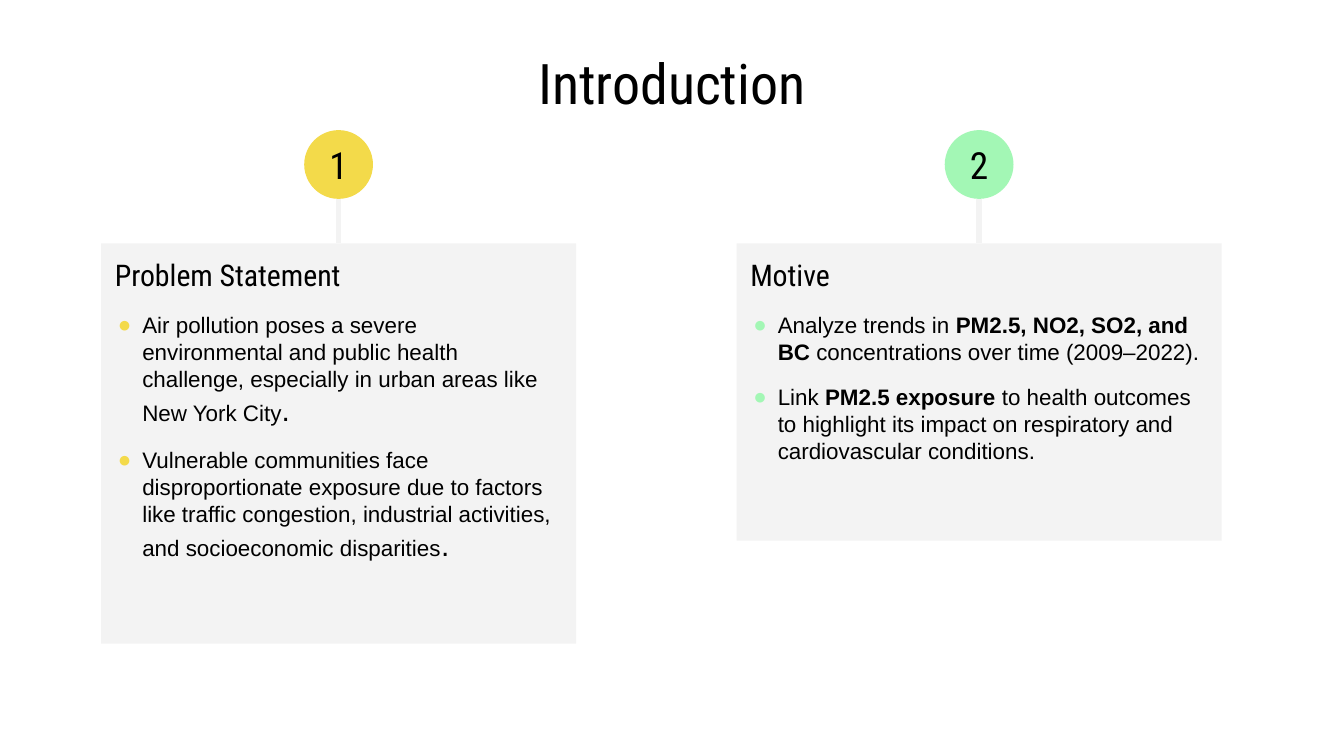
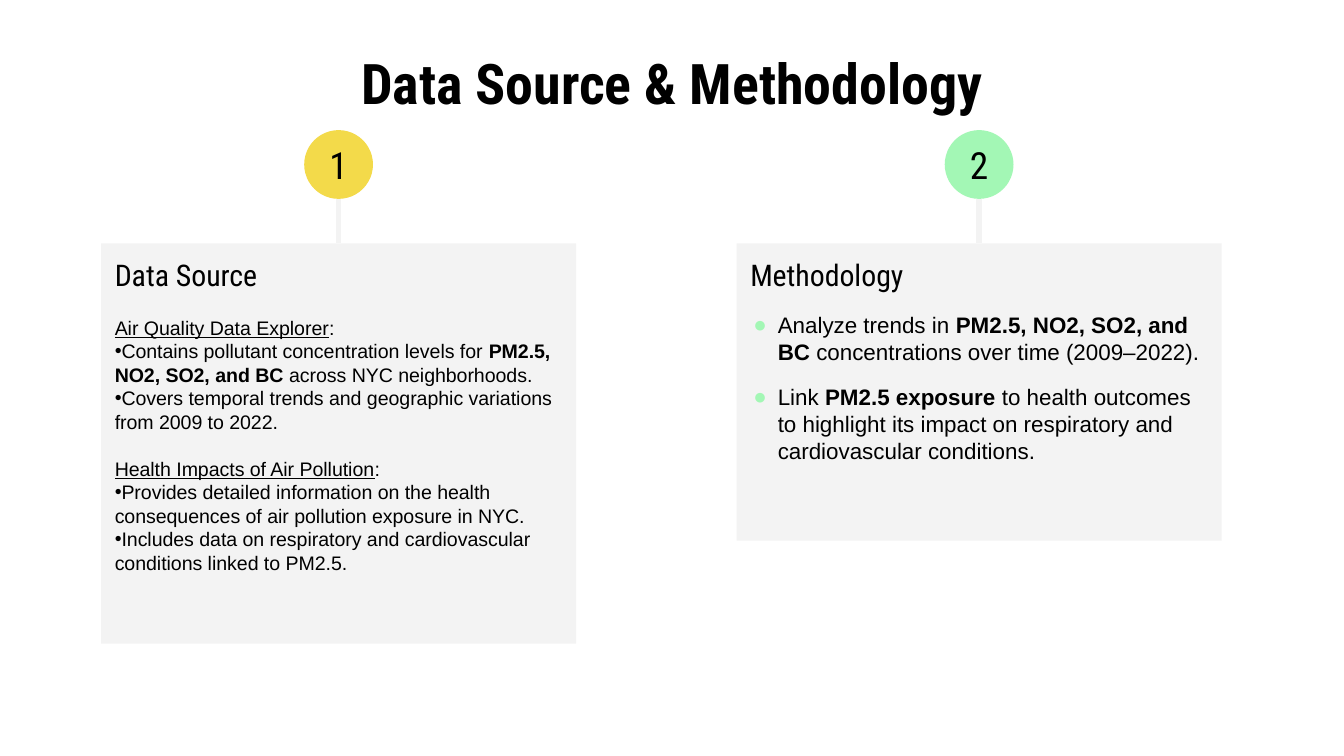
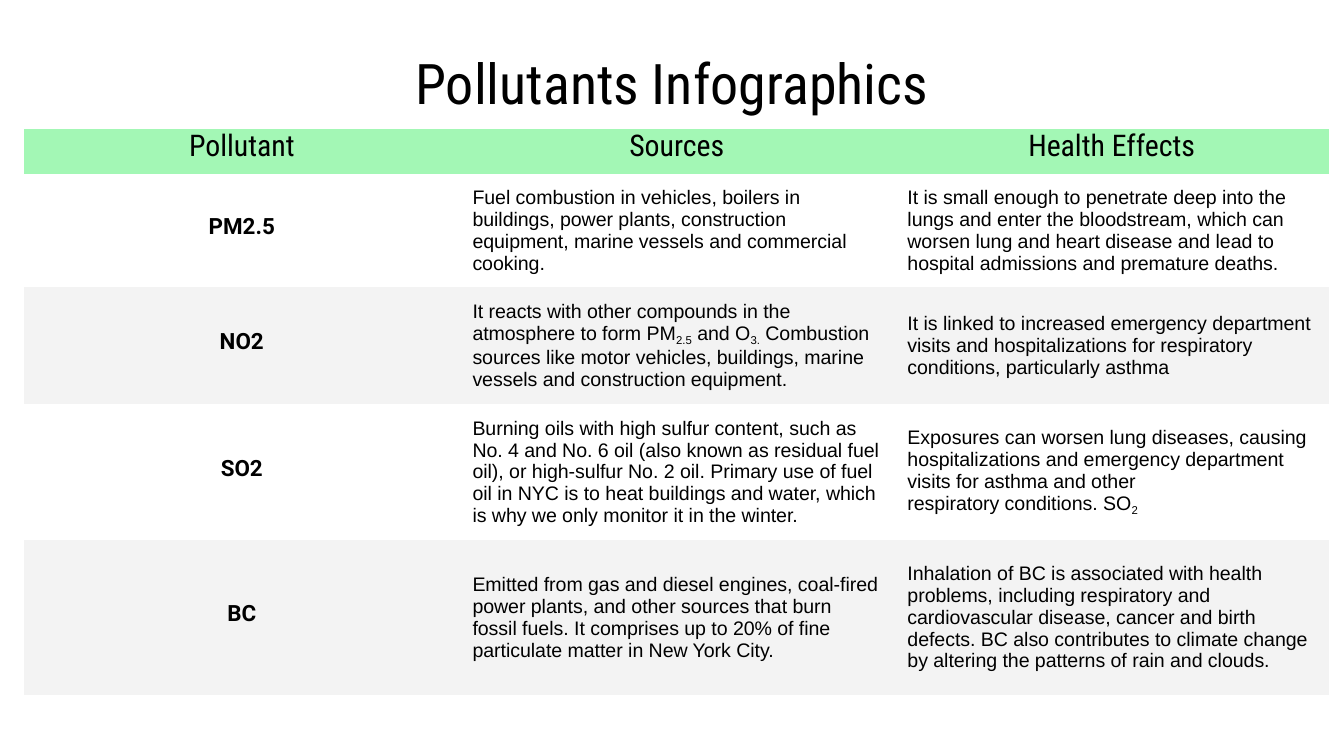
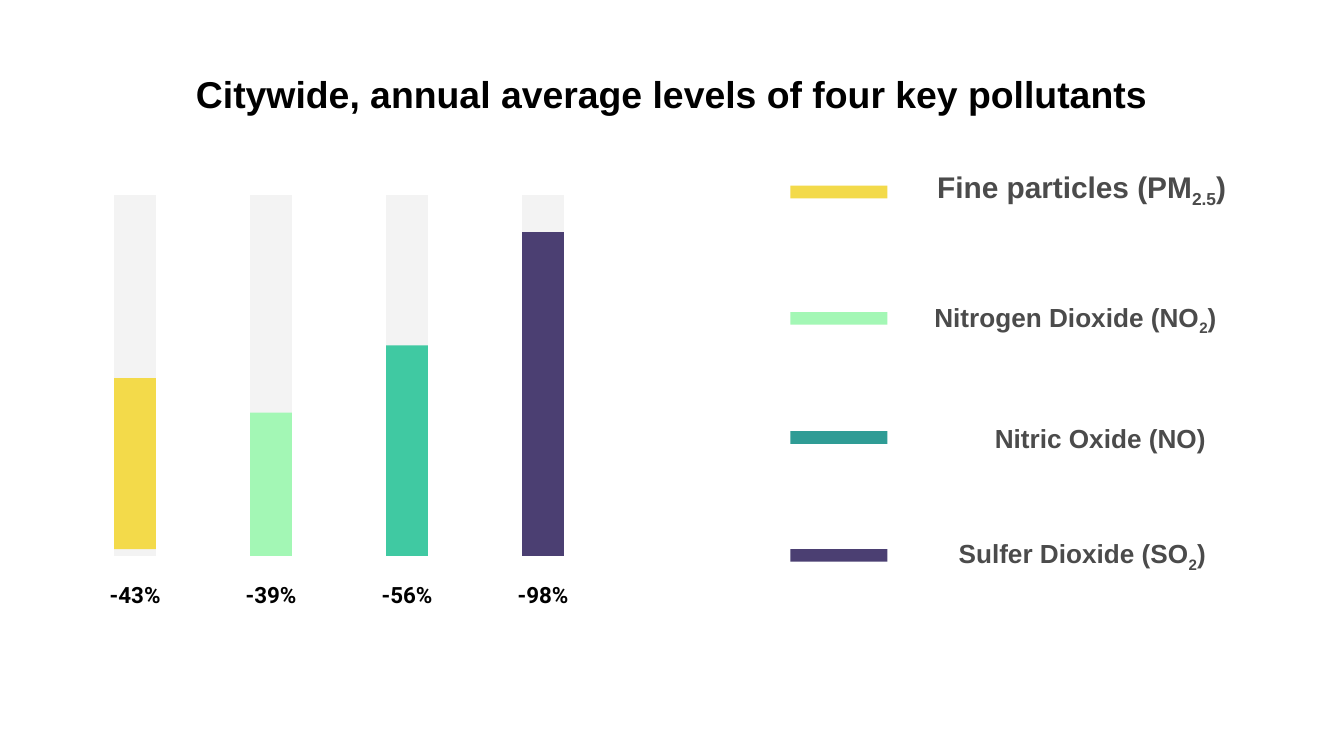
from dataclasses import dataclass

from lxml.etree import SubElement as Sub
from pptx import Presentation
from pptx.dml.color import RGBColor as Rgb
from pptx.enum.shapes import MSO_CONNECTOR as Link, MSO_SHAPE as Kind
from pptx.enum.text import MSO_ANCHOR as Anchor, PP_ALIGN as Align
from pptx.oxml.ns import qn
from pptx.util import Cm, Pt


@dataclass(frozen=True)
class Theme:
    black: str = "000000"
    grey: str = "F3F3F3"
    slate: str = "4B4B4B"
    gold: str = "F3DA4A"
    mint: str = "A3F7B5"
    green: str = "40C9A2"
    teal: str = "2F9C95"
    plum: str = "4B3F72"
    sans: str = "Arial"
    round: str = "Roboto"
    narrow: str = "Roboto Condensed"
    title: float = 30
    badge: float = 20
    head: float = 16
    key: float = 14
    body: float = 12
    small: float = 10.5


T = Theme()


@dataclass(frozen=True)
class Box:
    left: float
    top: float
    width: float
    height: float


@dataclass(frozen=True)
class Run:
    text: str
    bold: bool | None = None
    line: bool | None = None
    sub: bool = False
    size: float | None = None


@dataclass(frozen=True)
class Para:
    runs: tuple[str | Run, ...]
    size: float
    face: str = T.sans
    color: str = T.black
    bold: bool | None = None
    align: Align = Align.LEFT
    lead: float | None = None
    before: float = 0
    mark: str = ""
    tint: str = T.black
    left: float = 0
    hang: float = 0


@dataclass(frozen=True)
class Card:
    box: Box
    tint: str
    head: str
    paras: tuple[Para, ...]


@dataclass(frozen=True)
class Bar:
    label: str
    height: float
    tint: str
    lift: float = 0


@dataclass(frozen=True)
class Key:
    runs: tuple[str | Run, ...]
    tint: str
    top: float
    box: Box
    size: float = T.key


def put_mark(item, para: Para) -> None:
    props = item._p.get_or_add_pPr()
    props.set("marL", str(Cm(para.left)))
    props.set("indent", str(-Cm(para.hang)))
    Sub(Sub(props, qn("a:buClr")), qn("a:srgbClr")).set("val", para.tint)
    Sub(props, qn("a:buFont")).set("typeface", para.face)
    Sub(props, qn("a:buChar")).set("char", para.mark)


def write(frame, paras: tuple[Para, ...]) -> None:
    for spot, para in enumerate(paras):
        item = frame.add_paragraph() if spot else frame.paragraphs[0]
        if para.mark:
            put_mark(item, para)
        item.alignment = para.align
        item.space_before = Pt(para.before)
        if para.lead:
            item.line_spacing = para.lead
        font = item.font
        font.name, font.bold = para.face, para.bold
        font.color.rgb = Rgb.from_string(para.color)
        for part in para.runs:
            part = Run(part) if isinstance(part, str) else part
            run = item.add_run()
            run.text = part.text
            run.font.size = Pt(part.size or para.size)
            if part.bold:
                run.font.bold = True
            if part.line:
                run.font.underline = True
            if part.sub:
                run._r.get_or_add_rPr().set("baseline", "-25000")


def set_frame(frame, anchor: Anchor, inset: float = 0.25) -> None:
    frame.word_wrap = True
    frame.vertical_anchor = anchor
    frame.margin_left = frame.margin_right = Cm(inset)
    frame.margin_top = frame.margin_bottom = Cm(0.25)


def place(box: Box) -> tuple[int, ...]:
    return Cm(box.left), Cm(box.top), Cm(box.width), Cm(box.height)


def add_text(slide, box: Box, para: Para, anchor: Anchor = Anchor.MIDDLE) -> None:
    frame = slide.shapes.add_textbox(*place(box)).text_frame
    set_frame(frame, anchor)
    write(frame, (para,))


def add_block(slide, box: Box, tint: str, paras: tuple[Para, ...] = (),
              kind: Kind = Kind.RECTANGLE, anchor: Anchor = Anchor.TOP) -> None:
    shape = slide.shapes.add_shape(kind, *place(box))
    shape.shadow.inherit = False
    shape.fill.solid()
    shape.fill.fore_color.rgb = Rgb.from_string(tint)
    shape.line.fill.background()
    if paras:
        set_frame(shape.text_frame, anchor, 0.26)
        write(shape.text_frame, paras)


def add_stem(slide, mid: float, top: float, end: float) -> None:
    stem = slide.shapes.add_connector(Link.STRAIGHT, Cm(mid), Cm(top), Cm(mid), Cm(end))
    stem.line.color.rgb = Rgb.from_string(T.grey)
    stem.line.width = Pt(3)
    Sub(stem._element.spPr, qn("a:effectLst"))


def add_page(deck, title: str, size: float = T.title, face: str = T.narrow,
             bold: bool | None = None):
    slide = deck.slides.add_slide(deck.slide_layouts[6])
    para = Para((title,), size, face, bold=bold, align=Align.CENTER)
    add_text(slide, Box(1.27, 1.14, 22.86, 1.3), para, Anchor.BOTTOM)
    return slide


BADGE = 1.3
BADGE_TOP = 2.46


def add_cards(slide, cards: tuple[Card, ...]) -> None:
    for count, card in enumerate(cards, 1):
        mid = card.box.left + card.box.width / 2
        disc = Box(mid - BADGE / 2, BADGE_TOP, BADGE, BADGE)
        digit = Para((str(count),), T.badge, T.narrow, align=Align.CENTER)
        add_block(slide, disc, card.tint, (digit,), Kind.OVAL, Anchor.MIDDLE)
        head = Para((card.head,), T.head, T.narrow)
        add_block(slide, card.box, T.grey, (head, *card.paras))
        add_stem(slide, mid, BADGE_TOP + BADGE, card.box.top)


def point(tint: str, *runs: str | Run) -> Para:
    return Para(runs, T.body, before=10, mark="●", tint=tint, left=0.52, hang=0.46)


def topic(text: str) -> Para:
    return Para((Run(text, line=True), ":"), T.small, before=12.6)


def note(*runs: str | Run) -> Para:
    return Para(runs, T.small, mark="•", hang=0.18)


LEFT = Box(1.91, 4.6, 8.98, 7.57)
RIGHT = Box(13.92, 4.6, 9.17, 5.62)
GASES = Run("PM2.5, NO2, SO2, and BC", bold=True)
DOT = Run(".", size=T.head)

ISSUE = (
    point(T.gold, "Air pollution poses a severe environmental and public health "
          "challenge, especially in urban areas like New York City", DOT),
    point(T.gold, "Vulnerable communities face disproportionate exposure due to factors "
          "like traffic congestion, industrial activities, and socioeconomic disparities", DOT),
)
GOALS = (
    point(T.mint, "Analyze trends in ", GASES, " concentrations over time (2009–2022)."),
    point(T.mint, "Link ", Run("PM2.5 exposure", bold=True),
          " to health outcomes to highlight its impact on respiratory and "
          "cardiovascular conditions."),
)
DATA = (
    topic("Air Quality Data Explorer"),
    note("Contains pollutant concentration levels for ", GASES, " across NYC neighborhoods."),
    note("Covers temporal trends and geographic variations from 2009 to 2022."),
    topic("Health Impacts of Air Pollution"),
    note("Provides detailed information on the health consequences of air pollution "
         "exposure in NYC."),
    note("Includes data on respiratory and cardiovascular conditions linked to PM2.5."),
)

HARD = chr(160)
HEADS = ("Pollutant", "Sources", "Health Effects")
ROWS = (
    ("PM2.5",
     ("Fuel combustion in vehicles, boilers in buildings, power plants, construction "
      "equipment, marine vessels and commercial cooking.",),
     ("It is small enough to penetrate deep into the lungs and enter the bloodstream, "
      "which can worsen lung and heart disease and lead to hospital admissions and "
      "premature deaths.",)),
    ("NO2",
     ("It reacts with other compounds in the atmosphere to form PM", Run("2.5", sub=True),
      f"{HARD}and O", Run("3.", sub=True),
      f" Combustion sources like motor vehicles, buildings, marine vessels{HARD}and "
      "construction equipment."),
     ("It is linked to increased emergency department visits and hospitalizations for "
      "respiratory conditions, particularly asthma",)),
    ("SO2",
     ("Burning oils with high sulfur content, such as No. 4 and No. 6 oil (also known as "
      "residual fuel oil), or high-sulfur No. 2 oil. Primary use of fuel oil in NYC "
      f"is{HARD}to heat buildings and water, which is why we only monitor{HARD}it in "
      "the winter.",),
     ("Exposures can worsen lung diseases, causing hospitalizations and emergency "
      f"department visits for asthma and other respiratory{HARD}conditions. SO",
      Run("2", sub=True))),
    ("BC",
     ("Emitted from gas and diesel engines, coal-fired power plants, and other sources "
      "that burn fossil fuels. It comprises up to 20% of fine particulate matter in "
      "New York City.",),
     ("Inhalation of BC is associated with health problems, including respiratory and "
      f"cardiovascular disease, cancer and{HARD}birth defects.{HARD}BC also contributes "
      f"to climate change by altering the{HARD}patterns of rain and clouds.",)),
)
TALL = (0.85, 2.14, 2.21, 2.57, 2.93)
WIDE = 8.22
PLAIN = "{2D5ABB26-0587-4C30-8999-92F81FD0307C}"


def fill_cell(cell, para: Para, tint: str) -> None:
    cell.vertical_anchor = Anchor.MIDDLE
    cell.margin_left = cell.margin_right = Cm(0.25)
    cell.margin_top = cell.margin_bottom = Cm(0.13)
    if tint:
        cell.fill.solid()
        cell.fill.fore_color.rgb = Rgb.from_string(tint)
    else:
        cell.fill.background()
    write(cell.text_frame, (para,))


def add_grid(slide) -> None:
    area = Box(0.46, 2.44, WIDE * len(HEADS), sum(TALL))
    grid = slide.shapes.add_table(len(TALL), len(HEADS), *place(area)).table
    grid.first_row = grid.horz_banding = False
    grid._tbl.tblPr.find(qn("a:tableStyleId")).text = PLAIN
    for row, tall in zip(grid.rows, TALL):
        row.height = Cm(tall)
    for spot, head in enumerate(HEADS):
        grid.columns[spot].width = Cm(WIDE)
        para = Para((head,), T.head, T.narrow, align=Align.CENTER, lead=0.5)
        fill_cell(grid.cell(0, spot), para, T.mint)
    for line, (name, *texts) in enumerate(ROWS, 1):
        tint = "" if line % 2 else T.grey
        para = Para((name,), T.body, T.round, bold=True, align=Align.CENTER, lead=0.5)
        fill_cell(grid.cell(line, 0), para, tint)
        for spot, runs in enumerate(texts, 1):
            fill_cell(grid.cell(line, spot), Para(runs, T.small), tint)


BARS = (
    Bar("-43%", 3.23, T.gold, lift=0.13),
    Bar("-39%", 2.71, T.mint),
    Bar("-56%", 3.98, T.green),
    Bar("-98%", 6.12, T.plum),
)
KEYS = (
    Key(("Fine particles (PM", Run("2.5", sub=True), ")"), T.gold, 3.51,
        Box(13.77, 3.1, 9.65, 0.94), T.head),
    Key(("Nitrogen Dioxide (NO", Run("2", sub=True), ")"), T.mint, 5.9,
        Box(11.81, 5.56, 11.43, 0.94)),
    Key(("Nitric Oxide (NO)",), T.teal, 8.15, Box(11.81, 7.82, 11.23, 0.94)),
    Key(("Sulfer Dioxide (SO", Run("2", sub=True), ")"), T.plum, 10.38,
        Box(11.81, 10.03, 11.23, 0.94)),
)
STEP = 2.57
TRACK = Box(2.16, 3.69, 0.79, 6.82)


def add_bars(slide) -> None:
    base = TRACK.top + TRACK.height
    for spot, bar in enumerate(BARS):
        left = TRACK.left + STEP * spot
        label = Para((bar.label,), T.body, T.round, bold=True, align=Align.CENTER)
        add_text(slide, Box(1.27 + STEP * spot, 10.77, STEP, 0.94), label)
        add_block(slide, Box(left, TRACK.top, TRACK.width, TRACK.height), T.grey)
        top = base - bar.lift - bar.height
        add_block(slide, Box(left, top, TRACK.width, bar.height), bar.tint)


def add_keys(slide) -> None:
    for key in KEYS:
        add_text(slide, key.box, Para(key.runs, key.size, color=T.slate, bold=True,
                                      align=Align.RIGHT))
        add_block(slide, Box(14.94, key.top, 1.83, 0.24), key.tint)


def main() -> None:
    deck = Presentation()
    deck.slide_width, deck.slide_height = Cm(25.4), Cm(14.29)
    add_cards(add_page(deck, "Introduction"), (
        Card(LEFT, T.gold, "Problem Statement", ISSUE),
        Card(RIGHT, T.mint, "Motive", GOALS),
    ))
    add_cards(add_page(deck, "Data Source & Methodology", bold=True), (
        Card(LEFT, T.gold, "Data Source", DATA),
        Card(RIGHT, T.mint, "Methodology", GOALS),
    ))
    add_grid(add_page(deck, "Pollutants Infographics"))
    chart = add_page(deck, "Citywide, annual average levels of four key pollutants",
                     T.badge, T.sans, True)
    add_bars(chart)
    add_keys(chart)
    deck.save("out.pptx")


if __name__ == "__main__":
    main()
